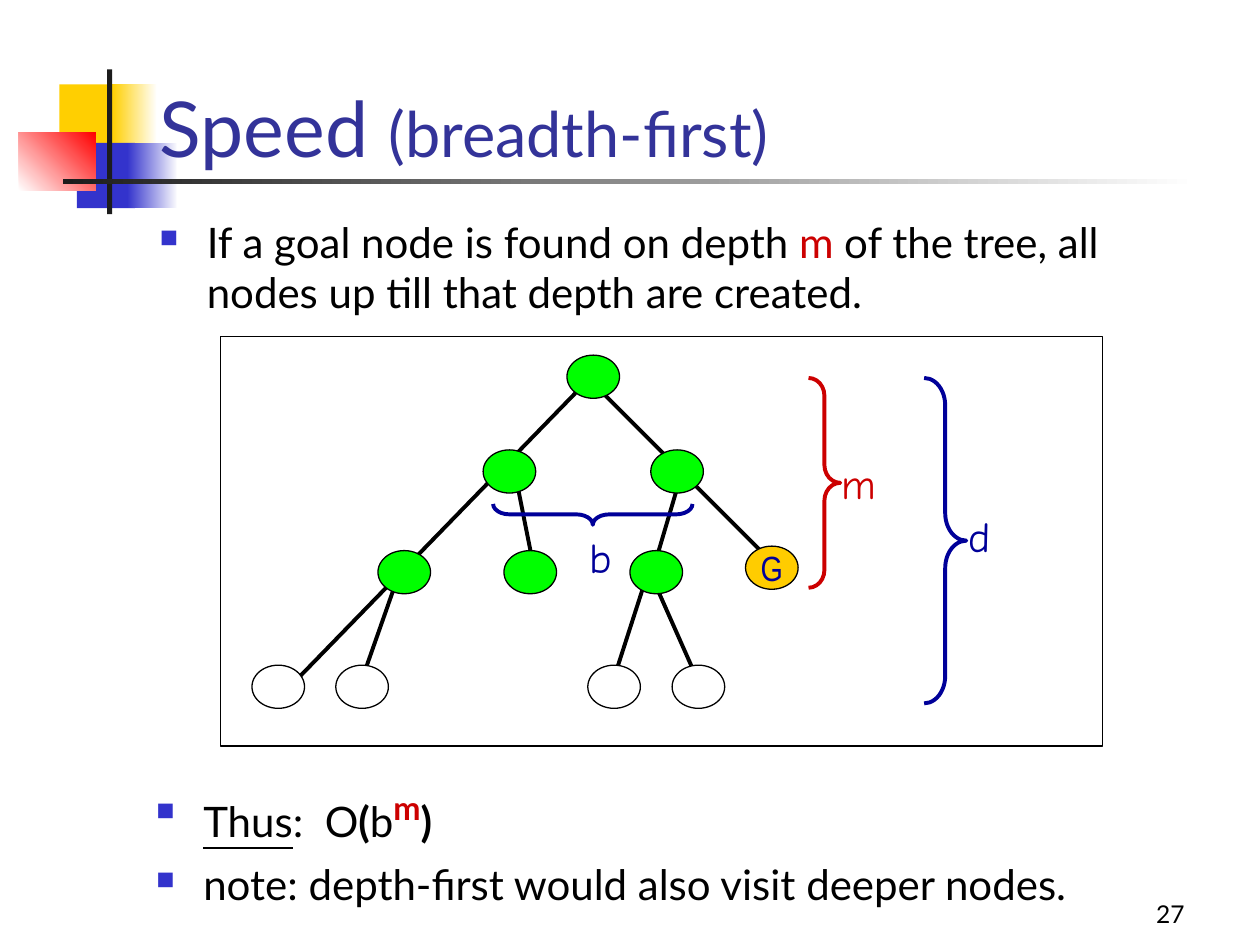
import pptx
import pptx.util
import pptx.dml.color
import pptx.enum.shapes
import pptx.enum.text
import lxml.etree

Cm = pptx.util.Cm
Pt = pptx.util.Pt
RGB = pptx.dml.color.RGBColor
KIND = pptx.enum.shapes.MSO_SHAPE
ALIGN = pptx.enum.text.PP_ALIGN
ANCHOR = pptx.enum.text.MSO_ANCHOR
FIT = pptx.enum.text.MSO_AUTO_SIZE

BLACK = RGB(0x00, 0x00, 0x00)
WHITE = RGB(0xFF, 0xFF, 0xFF)
INK = RGB(0x1C, 0x1C, 0x1C)
YELLOW = RGB(0xFF, 0xCF, 0x01)
BLUE = RGB(0x33, 0x33, 0xCC)
RED = RGB(0xFF, 0x00, 0x00)
TITLE = RGB(0x33, 0x33, 0x99)
NAVY = RGB(0x00, 0x00, 0x99)
CRIMSON = RGB(0xCC, 0x00, 0x00)
GREEN = RGB(0x00, 0xFF, 0x00)
GOLD = RGB(0xFF, 0xCC, 0x00)


def put(para, text, size=24, color=BLACK, font="Lato", bold=False, under=False, raised=0):
    run = para.add_run()
    run.text = text
    run.font.size = Pt(size)
    run.font.name = font
    run.font.color.rgb = color
    run.font.bold = bold
    run.font.underline = under
    if raised:
        run._r.get_or_add_rPr().set("baseline", str(raised * 1000))


def draw(kind, x, y, w, h, fill=None, line=None, width=0.75):
    shape = slide.shapes.add_shape(kind, Cm(x), Cm(y), Cm(w), Cm(h))
    shape.shadow.inherit = False
    if fill is None:
        shape.fill.background()
    else:
        shape.fill.solid()
        shape.fill.fore_color.rgb = fill
    if line is None:
        shape.line.fill.background()
    else:
        shape.line.color.rgb = line
        shape.line.width = Pt(width)
    return shape


deck = pptx.Presentation()
deck.slide_width = Cm(25.4)
deck.slide_height = Cm(19.05)
slide = deck.slides.add_slide(deck.slide_layouts[5])

decor = [
    (1.2, 1.7, 1.22, 1.32, YELLOW, None, 0),
    (2.26, 1.7, 0.91, 1.32, YELLOW, WHITE, 0),
    (1.55, 2.88, 1.17, 1.32, BLUE, None, 0),
    (2.57, 2.88, 1.02, 1.32, BLUE, WHITE, 0),
    (0.38, 2.67, 1.55, 1.17, WHITE, RED, 45),
    (2.16, 1.4, 0.1, 2.92, INK, None, 0),
    (1.27, 3.61, 22.86, 0.1, INK, WHITE, 0),
]
for x, y, w, h, start, end, angle in decor:
    block = draw(KIND.RECTANGLE, x, y, w, h, start)
    if end is not None:
        block.fill.gradient()
        block.fill.gradient_angle = angle
        for stop, color in zip(block.fill.gradient_stops, (start, end)):
            stop.color.rgb = color

title = slide.shapes.title
title.left, title.top, title.width, title.height = Cm(2.97), Cm(0.43), Cm(21.59), Cm(3.18)
slide.shapes.element.append(title.element)
frame = title.text_frame
frame.auto_size = FIT.NONE
frame.vertical_anchor = ANCHOR.BOTTOM
head = frame.paragraphs[0]
head.alignment = ALIGN.LEFT
put(head, "Speed ", size=44, color=TITLE)
put(head, "(breadth-first)", size=36, color=TITLE)

goal = [
    ("If a goal node is found on depth ", {}),
    ("m", {"color": CRIMSON}),
    (" of the tree, all nodes up till that depth are created.", {}),
]
cost = [
    ("Thus", {"under": True}),
    (":  O", {}),
    ("(", {"bold": True}),
    ("b", {}),
    ("m", {"size": 32, "color": CRIMSON, "bold": True, "raised": 30}),
    (")", {"bold": True}),
]
note = [("note: depth-first would also visit deeper nodes.", {})]
for x, y, w, h, items in [
    (2.97, 4.24, 21.59, 2.97, [goal]),
    (2.9, 15.62, 22.5, 2.74, [cost, note]),
]:
    frame = slide.shapes.add_textbox(Cm(x), Cm(y), Cm(w), Cm(h)).text_frame
    frame.word_wrap = True
    for i, runs in enumerate(items):
        para = frame.add_paragraph() if i else frame.paragraphs[0]
        props = para._p.get_or_add_pPr()
        props.set("marL", str(Cm(0.95)))
        props.set("indent", str(Cm(-0.95)))
        tint = lxml.etree.SubElement(props, pptx.oxml.ns.qn("a:buClr"))
        lxml.etree.SubElement(tint, pptx.oxml.ns.qn("a:srgbClr"), val=str(BLUE))
        lxml.etree.SubElement(props, pptx.oxml.ns.qn("a:buSzPct"), val="60000")
        lxml.etree.SubElement(props, pptx.oxml.ns.qn("a:buChar"), char="■")
        if i:
            para.space_before = Pt(6)
        for words, style in runs:
            put(para, words, **style)

draw(KIND.RECTANGLE, 4.45, 6.78, 17.78, 8.26, WHITE, BLACK)

edges = [
    (11.85, 7.62, 15.66, 11.43),
    (13.12, 11.58, 14.18, 13.97),
    (13.12, 11.36, 12.28, 13.97),
    (8.04, 11.58, 7.2, 13.97),
    (13.76, 9.47, 13.12, 11.64),
    (10.37, 9.47, 10.8, 11.64),
    (12.06, 7.45, 5.72, 13.97),
]
for x1, y1, x2, y2 in edges:
    edge = slide.shapes.add_connector(
        pptx.enum.shapes.MSO_CONNECTOR.STRAIGHT, Cm(x1), Cm(y1), Cm(x2), Cm(y2))
    edge.line.color.rgb = BLACK
    edge.line.width = Pt(2.25)
    lxml.etree.SubElement(edge._element.spPr, pptx.oxml.ns.qn("a:effectLst"))

rows = [
    (7.16, GREEN, [11.43]),
    (9.07, GREEN, [9.74, 13.12]),
    (11.1, GREEN, [7.62, 10.16, 12.7]),
    (13.41, WHITE, [5.08, 6.77, 11.85, 13.55]),
    (11.01, GOLD, [15.03]),
]
for y, fill, lefts in rows:
    for x in lefts:
        node = draw(KIND.OVAL, x, y, 1.06, 0.87, fill, BLACK)
frame = node.text_frame
frame.word_wrap = False
frame.vertical_anchor = ANCHOR.MIDDLE
frame.paragraphs[0].alignment = ALIGN.CENTER
put(frame.paragraphs[0], "G", size=20, color=NAVY, font="Arial Narrow")

braces = [
    (18.63, 7.62, 0.85, 6.56, 0, 0.65, NAVY, "d", 19.27, 10.16, 0.95),
    (11.74, 8.36, 0.42, 4.02, 90, 0.79, NAVY, "b", 11.64, 10.58, 0.97),
    (16.3, 7.62, 0.64, 4.23, 0, 0.56, CRIMSON, "m", 16.72, 9.1, 1.2),
]
for x, y, w, h, turn, curve, color, name, left, top, wide in braces:
    brace = draw(KIND.RIGHT_BRACE, x, y, w, h, None, color, 2.25)
    brace.rotation = turn
    brace.adjustments[0] = curve
    label = slide.shapes.add_textbox(Cm(left), Cm(top), Cm(wide), Cm(1.27))
    label.text_frame.word_wrap = False
    label.text_frame.auto_size = FIT.SHAPE_TO_FIT_TEXT
    put(label.text_frame.paragraphs[0], name, color=color, font="Comic Neue")

frame = slide.shapes.add_textbox(Cm(18.85), Cm(17.58), Cm(5.28), Cm(1.27)).text_frame
frame.word_wrap = True
frame.vertical_anchor = ANCHOR.BOTTOM
frame.paragraphs[0].alignment = ALIGN.RIGHT
put(frame.paragraphs[0], "27", size=14)

deck.save("out.pptx")
